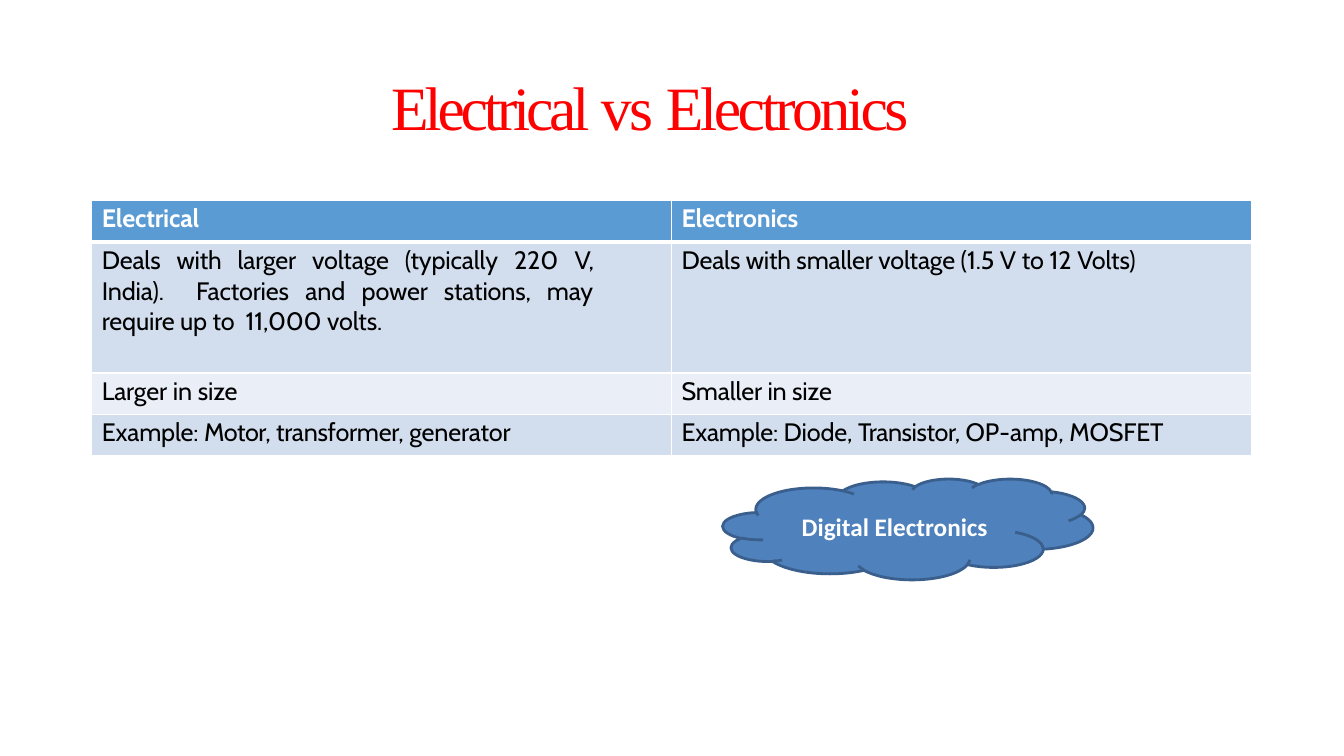
from lxml import etree
from pptx import Presentation
from pptx import util as u
from pptx.dml.color import RGBColor
from pptx.enum import shapes, text
from pptx.oxml.ns import qn

COLORS = {
    "title": "FF0000", "white": "FFFFFF", "black": "000000",
    "header": "5B9BD4", "odd_row": "D2DEEE", "even_row": "EAEEF7",
    "cloud": "4F81BD", "cloud_line": "3A5F8C",
}

TITLE = [("Electrical ", -3), ("vs ", -1.8), ("Electronics", -2.5)]
ROW_HEIGHTS = [0.41, 1.3, 0.41, 0.41]
ROWS = [
    ([("Electrical", -0.1)], [("Electronics", -0.1)]),
    ([("Deals with larger voltage (typically ", -0.1), ("220 ", 0), ("V, ", -0.8),
      ("India).  Factories ", -0.1), ("and ", 0),
      ("power stations, may require up to  11,000 volts.", -0.1)],
     [("Deals with smaller voltage (1.5 ", -0.1), ("V ", 0), ("to ", -0.1),
      ("12 ", 0), ("Volts)", -0.1)]),
    ([("Larger ", -0.1), ("in ", 0), ("size", -0.1)],
     [("Smaller in size", -0.1)]),
    ([("Example: ", -0.1), ("Motor, ", -0.3), ("transformer, ", -0.2), ("generator", -0.1)],
     [("Example: Diode, ", -0.1), ("Transistor, ", -0.3), ("OP-amp, ", 0), ("MOSFET", -0.1)]),
]


def rgb(name):
    return RGBColor.from_string(COLORS[name])


def add_runs(paragraph, pieces, font_name, size, color, bold=False):
    for words, spacing in pieces:
        run = paragraph.add_run()
        run.text = words
        run.font.name = font_name
        run.font.size = u.Pt(size)
        run.font.bold = bold
        run.font.color.rgb = rgb(color)
        run.font._element.set("spc", str(round(spacing * 100)))


def set_borders(cell, widths):
    properties = cell._tc.get_or_add_tcPr()
    for position, (side, width) in enumerate(widths.items()):
        line = etree.Element(qn(f"a:{side}"), w=str(u.Pt(width)))
        fill = etree.SubElement(line, qn("a:solidFill"))
        etree.SubElement(fill, qn("a:srgbClr"), val=COLORS["white"])
        properties.insert(position, line)


def add_title(slide, left, top, width, height):
    box = slide.shapes.add_textbox(*map(u.Inches, (left, top, width, height)))
    frame = box.text_frame
    frame.word_wrap = True
    frame.margin_left = frame.margin_right = frame.margin_bottom = 0
    frame.margin_top = u.Inches(0.01)
    paragraph = frame.paragraphs[0]
    paragraph.space_before = u.Pt(1.1)
    paragraph._p.get_or_add_pPr().set("marL", str(u.Inches(0.01)))
    add_runs(paragraph, TITLE, "Times New Roman", 44, "title")


def fill_cell(cell, pieces, row_index):
    is_header = row_index == 0
    cell.margin_left = u.Inches(0.1)
    cell.margin_right = cell.margin_bottom = 0
    cell.margin_top = u.Inches(0.03)
    cell.fill.solid()
    cell.fill.fore_color.rgb = rgb(
        "header" if is_header else "odd_row" if row_index % 2 else "even_row")
    set_borders(cell, {"lnL": 1, "lnR": 1, "lnT": 3 if row_index == 1 else 1,
                       "lnB": 3 if is_header else 1})
    paragraph = cell.text_frame.paragraphs[0]
    paragraph.space_before = u.Pt(2.4 if is_header else 2.5)
    add_runs(paragraph, pieces, "Cabin", 18, "white" if is_header else "black", is_header)


def add_comparison(slide, left, top, width):
    table = slide.shapes.add_table(
        len(ROWS), 2, *map(u.Inches, (left, top, width, sum(ROW_HEIGHTS)))).table
    for column in table.columns:
        column.width = u.Inches(width / 2)
    for row_index, (row, height) in enumerate(zip(ROWS, ROW_HEIGHTS)):
        table.rows[row_index].height = u.Inches(height)
        for column_index, pieces in enumerate(row):
            fill_cell(table.cell(row_index, column_index), pieces, row_index)
    voltage_cell = table.cell(1, 0)
    voltage_cell.margin_right = u.Inches(0.78)
    voltage_cell.text_frame.paragraphs[0].alignment = text.PP_ALIGN.JUSTIFY


def add_cloud(slide, left, top, width, height):
    cloud = slide.shapes.add_shape(
        shapes.MSO_SHAPE.CLOUD, *map(u.Inches, (left, top, width, height)))
    cloud.shadow.inherit = False
    cloud.fill.solid()
    cloud.fill.fore_color.rgb = rgb("cloud")
    cloud.line.color.rgb = rgb("cloud_line")
    cloud.line.width = u.Pt(2)
    frame = cloud.text_frame
    frame.word_wrap = True
    frame.vertical_anchor = text.MSO_ANCHOR.MIDDLE
    paragraph = frame.paragraphs[0]
    paragraph.alignment = text.PP_ALIGN.CENTER
    add_runs(paragraph, [("Digital Electronics", 0)], "Calibri", 18, "white", True)


def main():
    presentation = Presentation()
    presentation.slide_width = u.Inches(13.33)
    presentation.slide_height = u.Inches(7.5)
    slide = presentation.slides.add_slide(presentation.slide_layouts[6])
    add_title(slide, 3.87, 0.67, 5.59, 0.76)
    add_comparison(slide, 0.91, 1.99, 11.5)
    add_cloud(slide, 7.17, 4.75, 3.67, 1)
    presentation.save("out.pptx")


if __name__ == "__main__":
    main()
